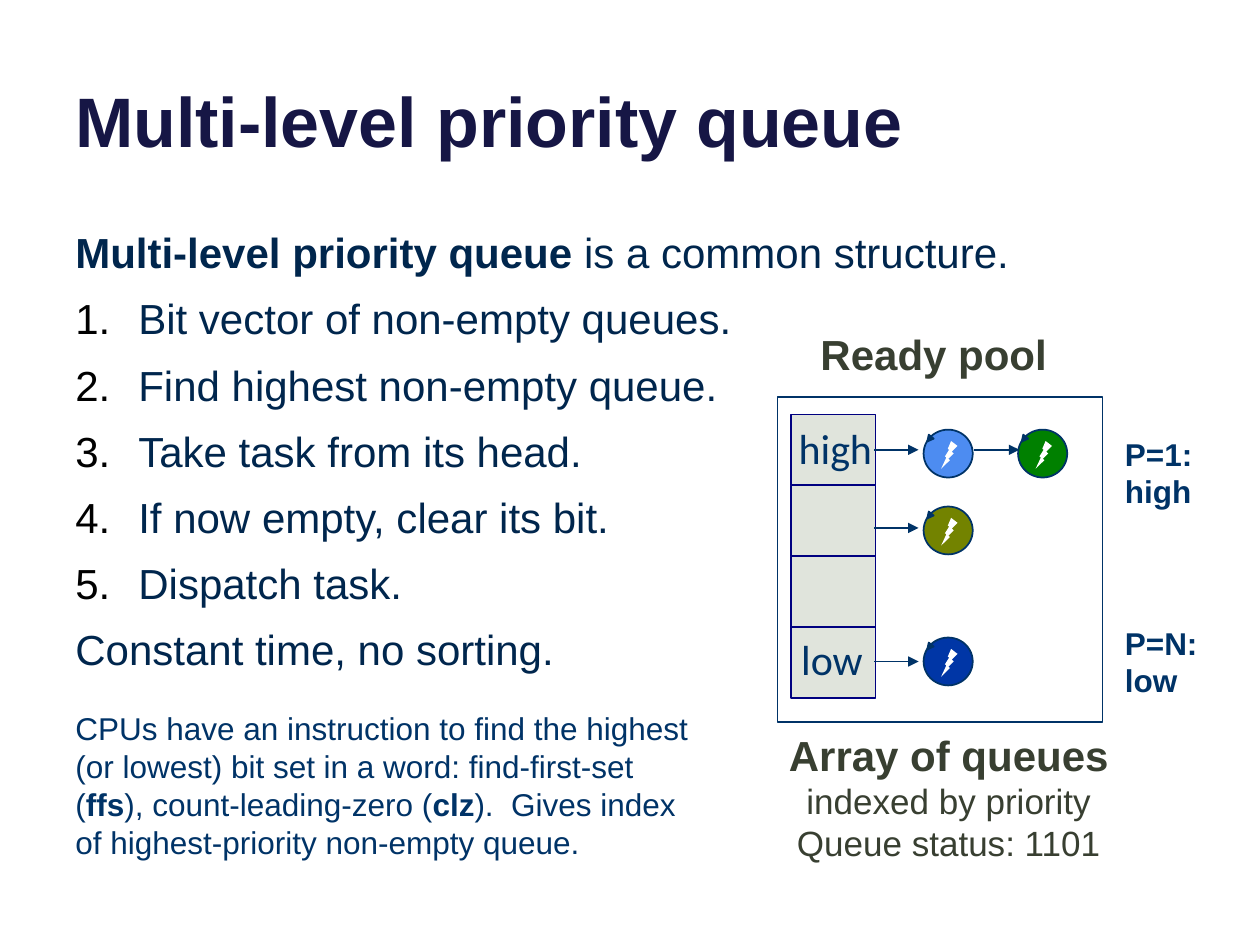
from pptx import Presentation
from pptx.dml.color import RGBColor
from pptx.enum.shapes import MSO_CONNECTOR as LINE, MSO_SHAPE as SHAPE
from pptx.enum.text import MSO_ANCHOR as ANCHOR, PP_ALIGN as ALIGN
from pptx.oxml.ns import qn
from pptx.util import Inches, Pt
from lxml.etree import SubElement

NAVY, BODY, OLIVE = "003367", "00264D", "383F31"


def rgb(value):
    return RGBColor.from_string(value)


class QueueSlide:
    """Hold the style and the current slide, and draw each kind of element."""

    def __init__(self, prs):
        self.s = prs.slides.add_slide(prs.slide_layouts[6])
        self.base = {"name": "Arial", "size": Pt(18), "bold": False}

    def run(self, p, text, color, **fmt):
        r = p.add_run()
        r.text = text
        for key, value in {**self.base, **fmt}.items():
            setattr(r.font, key, value)
        r.font.color.rgb = rgb(color)

    def text(self, box, paragraphs, color=NAVY, wrap=True, anchor=ANCHOR.TOP, para=None, **fmt):
        tf = self.s.shapes.add_textbox(*map(Inches, box)).text_frame
        tf.word_wrap, tf.vertical_anchor = wrap, anchor
        for i, runs in enumerate(paragraphs):
            p = tf.add_paragraph() if i else tf.paragraphs[0]
            for key, value in (para or {}).items():
                setattr(p, key, value)
            for content, extra in runs:
                self.run(p, content, color, **{**fmt, **extra})
        return tf

    def number(self, p):
        pPr = p._p.get_or_add_pPr()
        pPr.set("marL", str(Inches(0.5)))
        pPr.set("indent", str(-Inches(0.5)))
        SubElement(SubElement(pPr, qn("a:buClr")), qn("a:srgbClr"), val="000000")
        SubElement(pPr, qn("a:buFont"), typeface="+mj-lt")
        SubElement(pPr, qn("a:buAutoNum"), type="arabicPeriod")

    def shape(self, kind, box, fill=None, line=None, width=1, rotation=0, flip=False):
        sp = self.s.shapes.add_shape(kind, *map(Inches, box))
        sp.shadow.inherit = False
        sp.rotation = rotation
        if fill:
            sp.fill.solid()
            sp.fill.fore_color.rgb = rgb(fill)
        else:
            sp.fill.background()
        if line:
            sp.line.color.rgb = rgb(line)
            sp.line.width = Pt(width)
        else:
            sp.line.fill.background()
        if flip:
            sp._element.spPr.find(qn("a:xfrm")).set("flipH", "1")

    def arrow(self, x1, x2, y):
        cxn = self.s.shapes.add_connector(LINE.STRAIGHT, *map(Inches, (x1, y, x2, y)))
        cxn.line.color.rgb = rgb(NAVY)
        cxn.line.width = Pt(1)
        SubElement(cxn.line._get_or_add_ln(), qn("a:tailEnd"), type="triangle")
        SubElement(cxn._element.spPr, qn("a:effectLst"))

    def task(self, x, y, color):
        self.shape(SHAPE.OVAL, (x, y, 0.39, 0.38), color, NAVY)
        self.shape(SHAPE.LIGHTNING_BOLT, (x + 0.14, y + 0.09, 0.13, 0.22), "FFFFFF", flip=True)
        self.shape(SHAPE.ISOSCELES_TRIANGLE, (x + 0.02, y + 0.05, 0.05, 0.05), NAVY, NAVY, rotation=219)


def main():
    prs = Presentation()
    prs.slide_width, prs.slide_height = Inches(10), Inches(7.5)
    q = QueueSlide(prs)
    bold, plain = {"bold": True}, {}

    q.text((0.5, -0.37, 9, 1.7), [[("Multi-level priority queue", bold)]], "161645",
           anchor=ANCHOR.BOTTOM, size=Pt(40))
    steps = ["Bit vector of non-empty queues.", "Find highest non-empty queue.",
             "Take task from its head.", "If now empty, clear its bit.", "Dispatch task."]
    tf = q.text((0.5, 1.75, 8.67, 4.5), [
        [("Multi-level priority queue", bold), (" is a common structure.", plain)],
        *[[(step, plain)] for step in steps],
        [("Constant time, no sorting.", plain)],
    ], BODY, para={"space_before": Pt(9)}, size=Pt(24))
    for p in tf.paragraphs[1:-1]:
        q.number(p)

    q.shape(SHAPE.RECTANGLE, (6.17, 3.15, 2.58, 2.58), line=NAVY, width=0.75)
    for row in range(4):
        q.shape(SHAPE.RECTANGLE, (6.28, 3.29 + row * 0.563, 0.67, 0.56), "E0E4DC", "000080")
    for label, box in (("high", (6.24, 3.3, 0.8, 0.51)), ("low", (6.26, 4.98, 0.69, 0.5))):
        q.text(box, [[(label, plain)]], wrap=False, name="Calibri", size=Pt(24))
    for x1, x2, y in ((7.73, 8.09, 3.57), (6.94, 7.29, 3.57), (6.94, 7.29, 4.19), (6.94, 7.29, 5.25)):
        q.arrow(x1, x2, y)
    for x, y, color in ((7.33, 3.41, "4D8CF1"), (8.08, 3.41, "008000"),
                        (7.33, 4.02, "738300"), (7.33, 5.06, "0036A6")):
        q.task(x, y, color)

    center = {"alignment": ALIGN.CENTER}
    heading = {"bold": True, "size": Pt(24)}
    q.text((6.4, 2.56, 2.02, 0.5), [[("Ready pool", heading)]], OLIVE, False, para=center)
    q.text((6.15, 5.74, 2.76, 1.18), [
        [("Array of queues", heading)], [("indexed by priority", plain)], [("Queue status: 1101", plain)],
    ], OLIVE, False, para=center, size=Pt(20))
    for y, width, lines in ((3.4, 1.08, ("P=1:", "high")), (4.9, 0.83, ("P=N:", "low"))):
        q.text((8.83, y, width, 0.71), [[(line, bold)] for line in lines])
    q.text((0.5, 5.58, 5.09, 1.31), [[
        ("CPUs have an instruction to find the highest (or lowest) bit set in a word: find-first-set (", plain),
        ("ffs", bold), ("), count-leading-zero (", plain), ("clz", bold),
        (").  Gives index of highest-priority non-empty queue.", plain),
    ]])
    prs.save("out.pptx")


if __name__ == "__main__":
    main()
